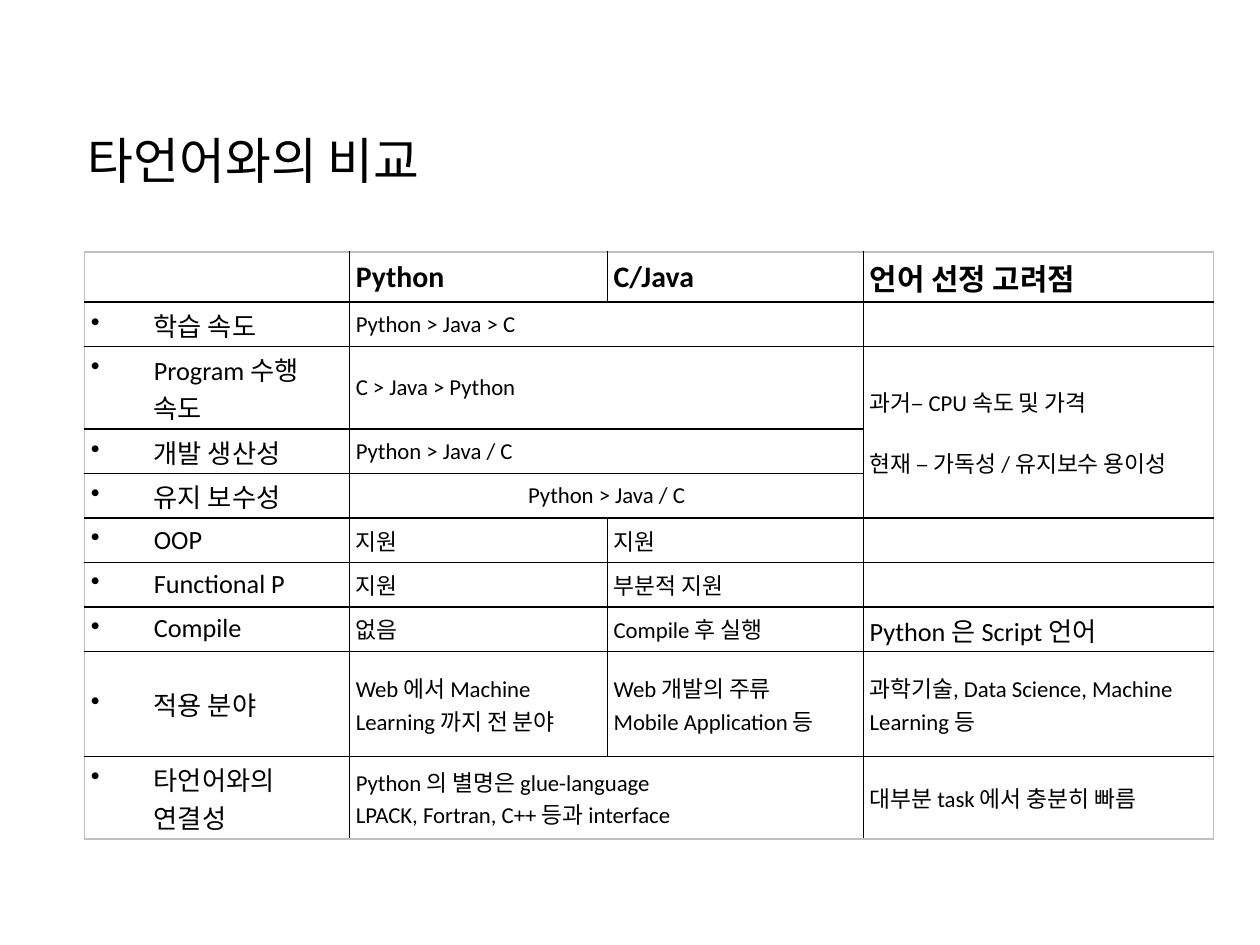
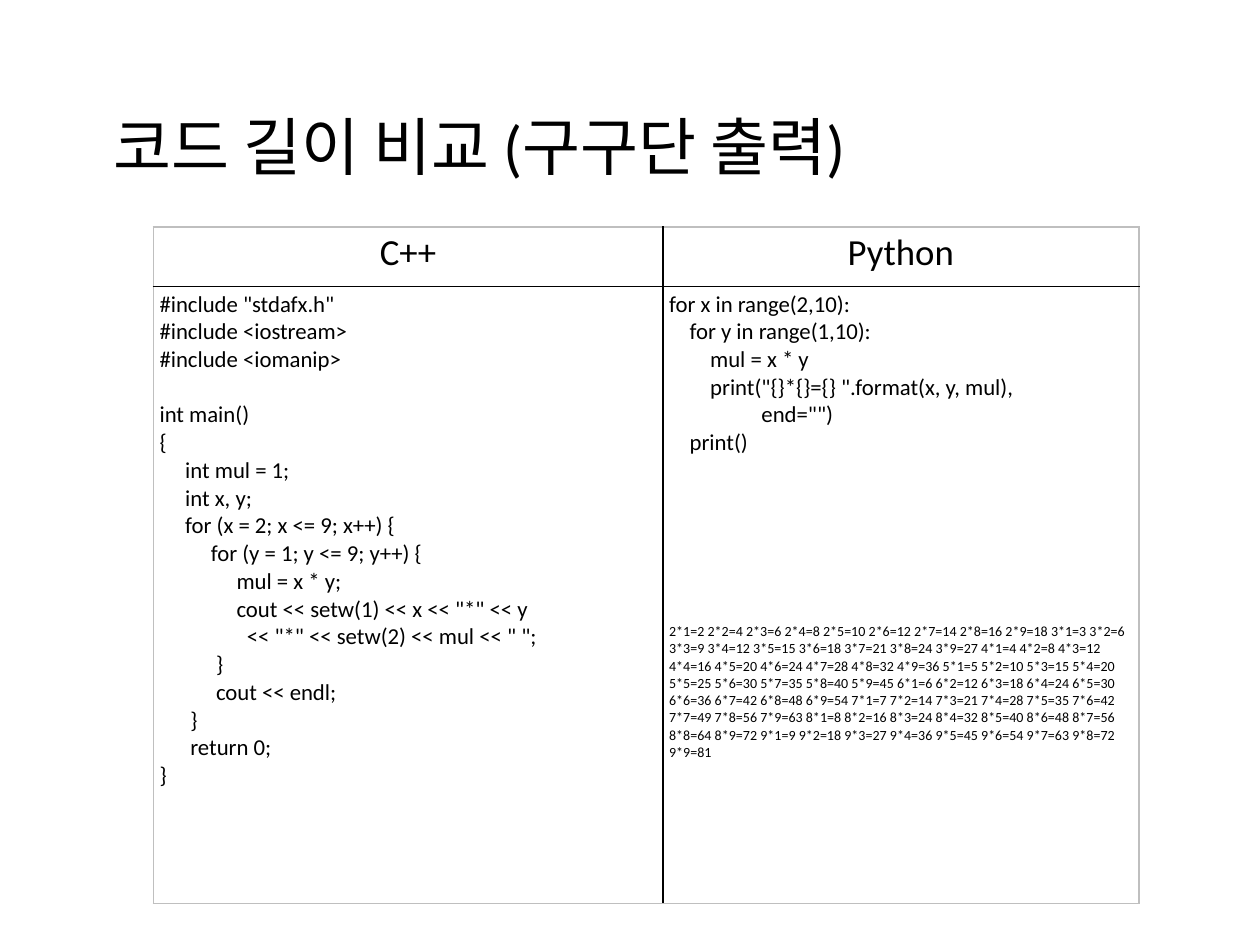
from dataclasses import dataclass
from lxml.etree import SubElement
from pptx import Presentation
from pptx.dml.color import RGBColor
from pptx.enum.text import MSO_ANCHOR, PP_ALIGN
from pptx.oxml.ns import qn
from pptx.util import Pt


@dataclass(frozen=True)
class Theme:
    font: str = "Calibri"
    ink: str = "000000"
    edge: str = "BFBFBF"
    rule: float = 1
    head: float = 17
    label: float = 15
    body: float = 13
    lang: float = 21
    tiny: float = 8
    leading: float = 1.22


THEME = Theme()

TRAITS = [
    ("", "Python", "C/Java", "언어 선정 고려점"),
    ("학습 속도", "Python > Java > C", None, ""),
    ("Program 수행 속도", "C > Java > Python", None,
     "과거– CPU 속도 및 가격\n\n현재 – 가독성 / 유지보수 용이성"),
    ("개발 생산성", "Python > Java / C", None, None),
    ("유지 보수성", "Python > Java / C", None, None),
    ("OOP", "지원", "지원", ""),
    ("Functional P", "지원", "부분적 지원", ""),
    ("Compile", "없음", "Compile 후 실행", "Python 은 Script 언어"),
    ("적용 분야", "Web 에서 Machine Learning 까지 전 분야",
     "Web 개발의 주류\nMobile Application 등",
     "과학기술, Data Science, Machine Learning 등"),
    ("타언어와의 연결성",
     "Python 의 별명은 glue-language\nLPACK, Fortran, C++ 등과 interface",
     None, "대부분 task 에서 충분히 빠름"),
]

CPP = '''#include "stdafx.h"
#include <iostream>
#include <iomanip>

int main()
{
     int mul = 1;
     int x, y;
     for (x = 2; x <= 9; x++) {
          for (y = 1; y <= 9; y++) {
               mul = x * y;
               cout << setw(1) << x << "*" << y
                 << "*" << setw(2) << mul << " ";
           }
           cout << endl;
      }
      return 0;
}'''

PYTHON = '''for x in range(2,10):
    for y in range(1,10):
        mul = x * y
        print("{}*{}={} ".format(x, y, mul),
                  end="")
    print()'''

OUTPUT = " ".join(f"{x}*{y}={x * y}" for x in range(2, 10) for y in range(1, 10))


def style(para, size, bold=False):
    for run in para.runs:
        font = run.font
        font.name = THEME.font
        font.size = Pt(size)
        font.bold = bold
        font.color.rgb = RGBColor.from_string(THEME.ink)
    if not para.runs:
        para._p.get_or_add_endParaRPr().set("sz", str(int(size * 100)))


def bullet(para):
    props = para._p.get_or_add_pPr()
    props.set("marL", str(Pt(36)))
    props.set("indent", str(-Pt(36)))
    SubElement(props, qn("a:buChar")).set("char", "•")


def write(frame, text, size, bold=False, align=PP_ALIGN.LEFT, listed=False):
    gap = 0
    para = frame.paragraphs[0]
    for line in text.split("\n"):
        if not line and text:
            gap += size * THEME.leading
            continue
        if para.text:
            para = frame.add_paragraph()
        para.text = line
        if listed and line:
            bullet(para)
        para.alignment = align
        if gap:
            para.space_before = Pt(round(gap, 2))
            gap = 0
        style(para, size, bold)


def border(cell, colors):
    props = cell._tc.get_or_add_tcPr()
    for side, color in zip("LRTB", colors):
        line = SubElement(props, qn(f"a:ln{side}"))
        line.set("w", str(Pt(THEME.rule)))
        fill = SubElement(line, qn("a:solidFill"))
        SubElement(fill, qn("a:srgbClr")).set("val", color)


def add_title(slide, text, left, top, size):
    frame = slide.shapes.add_textbox(Pt(left), Pt(top), Pt(615), Pt(63)).text_frame
    frame.word_wrap = True
    frame.vertical_anchor = MSO_ANCHOR.MIDDLE
    write(frame, text, size)
    frame.paragraphs[0].line_spacing = 0.9


def add_grid(slide, left, top, widths, heights, anchor):
    rows, cols = len(heights), len(widths)
    table = slide.shapes.add_table(rows, cols, Pt(left), Pt(top),
                                   Pt(sum(widths)), Pt(sum(heights))).table
    table.first_row = table.horz_banding = False
    for col, width in zip(table.columns, widths):
        col.width = Pt(width)
    for row, height in zip(table.rows, heights):
        row.height = Pt(height)
    for r in range(rows):
        for c in range(cols):
            cell = table.cell(r, c)
            outer = (c == 0, c == cols - 1, r == 0, r == rows - 1)
            border(cell, [THEME.edge if out else THEME.ink for out in outer])
            cell.fill.background()
            cell.vertical_anchor = anchor
            cell.margin_left = cell.margin_right = Pt(3.6)
            cell.margin_top = cell.margin_bottom = Pt(2.16)
    return table


def build_traits(slide):
    add_title(slide, "타언어와의 비교", 43.2, 61.9, 28.5)
    table = add_grid(slide, 48.3, 144, [151.4, 147.4, 146.3, 200],
                     [28.6, 25.4, 47.2] + [25.4] * 5 + [60, 47.2],
                     MSO_ANCHOR.MIDDLE)
    for r, row in enumerate(TRAITS):
        for c, text in enumerate(row):
            size = THEME.head if r == 0 else THEME.label if c == 0 else THEME.body
            if (r, c) == (7, 3):
                size = THEME.label
            align = PP_ALIGN.CENTER if (r, c) == (4, 1) else PP_ALIGN.LEFT
            write(table.cell(r, c).text_frame, text or "", size, r == 0, align,
                  listed=r > 0 and c == 0)
        if row[2] is None:
            table.cell(r, 1).merge(table.cell(r, 2))
    table.cell(2, 3).merge(table.cell(4, 3))


def build_code(slide):
    table = add_grid(slide, 87.6, 129.6, [291.2, 272], [34.2, 352.4],
                     MSO_ANCHOR.TOP)
    codes = {"C++": CPP, "Python": PYTHON + "\n" * 7 + OUTPUT}
    for c, (name, code) in enumerate(codes.items()):
        write(table.cell(0, c).text_frame, name, THEME.lang, align=PP_ALIGN.CENTER)
        write(table.cell(1, c).text_frame, code, THEME.body)
    style(table.cell(1, 1).text_frame.paragraphs[-1], THEME.tiny)
    add_title(slide, "코드 길이 비교 (구구단 출력)", 57.6, 54, 36)


def main():
    deck = Presentation()
    deck.slide_width, deck.slide_height = Pt(720), Pt(540)
    for build in (build_traits, build_code):
        build(deck.slides.add_slide(deck.slide_layouts[6]))
    deck.save("out.pptx")


if __name__ == "__main__":
    main()
